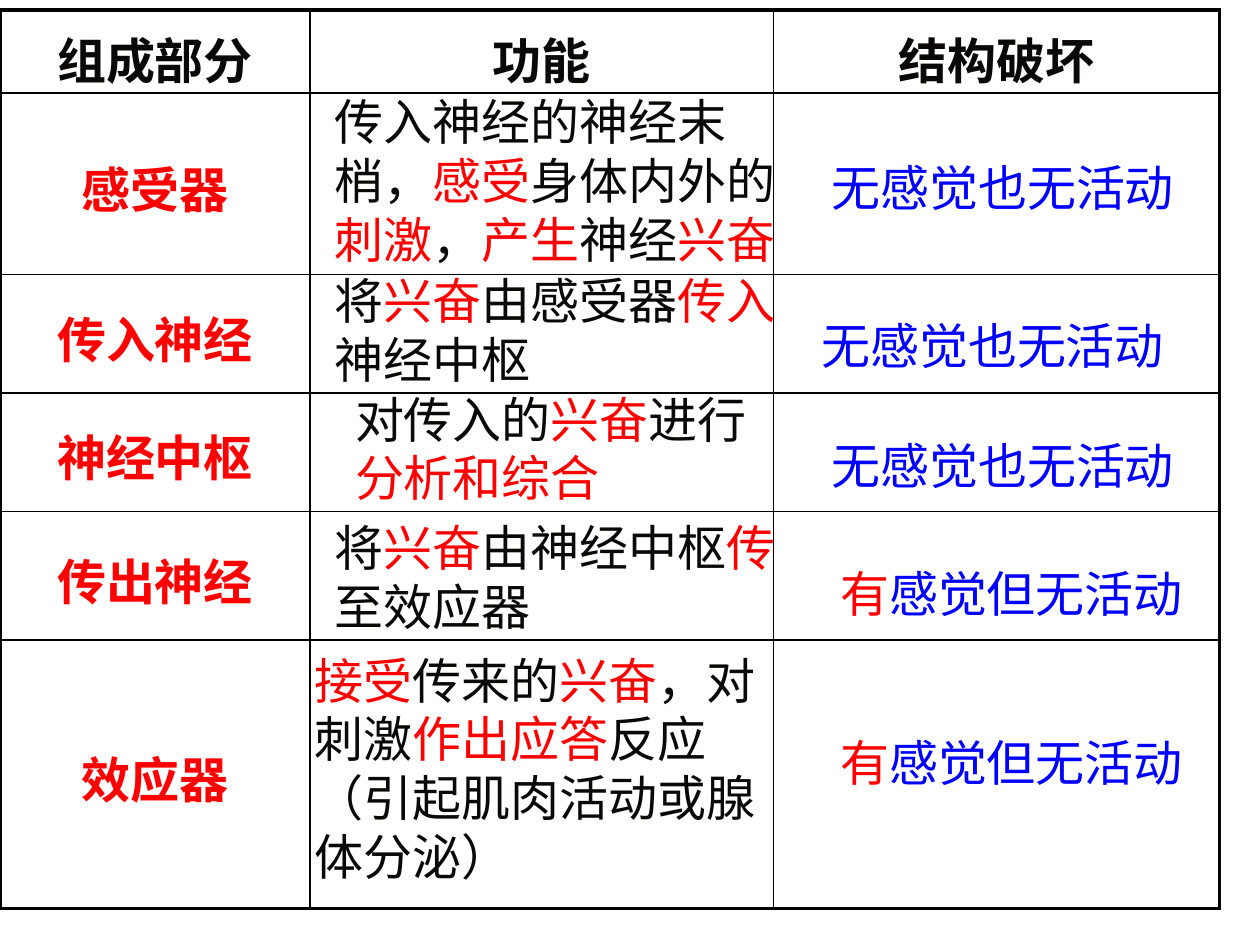
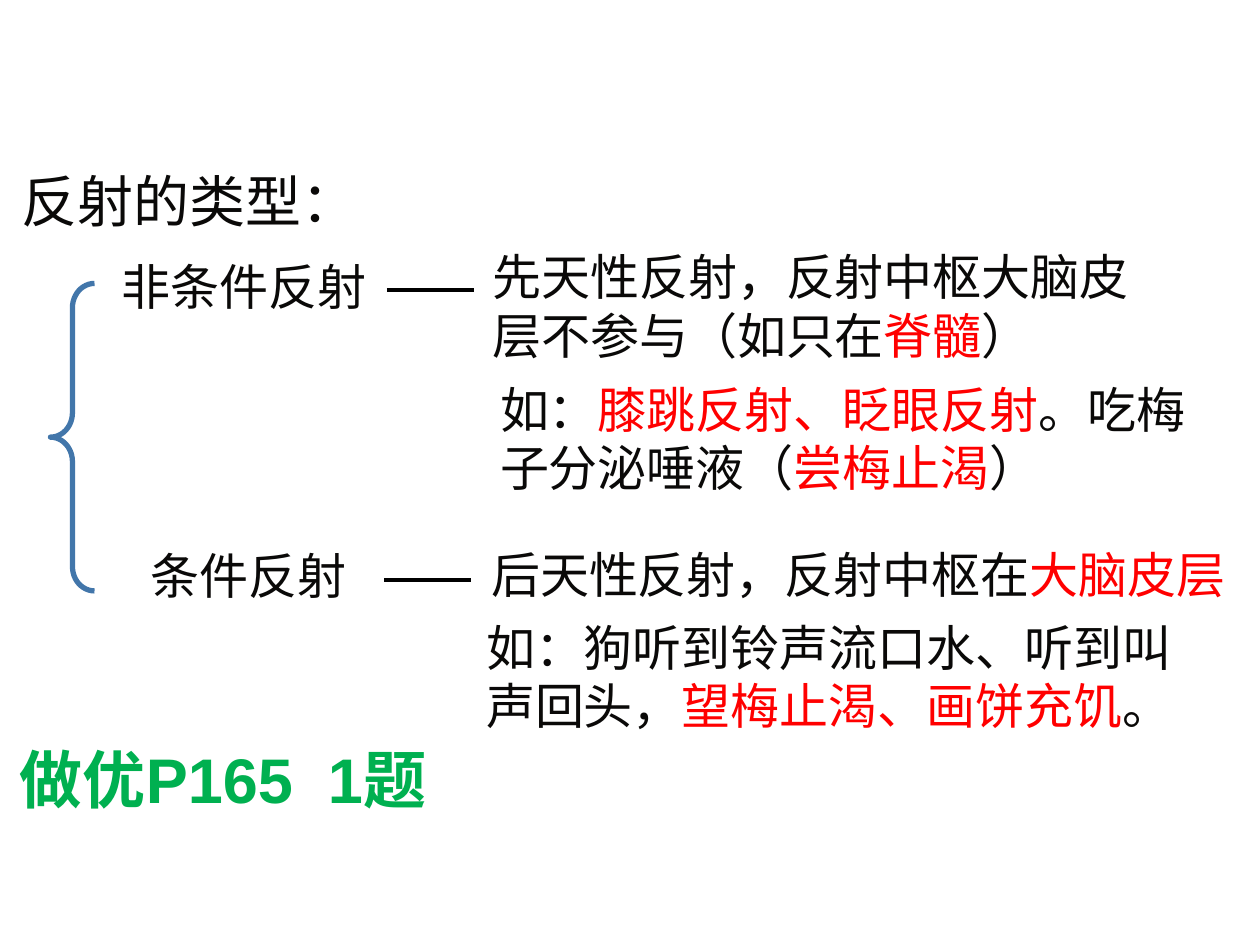
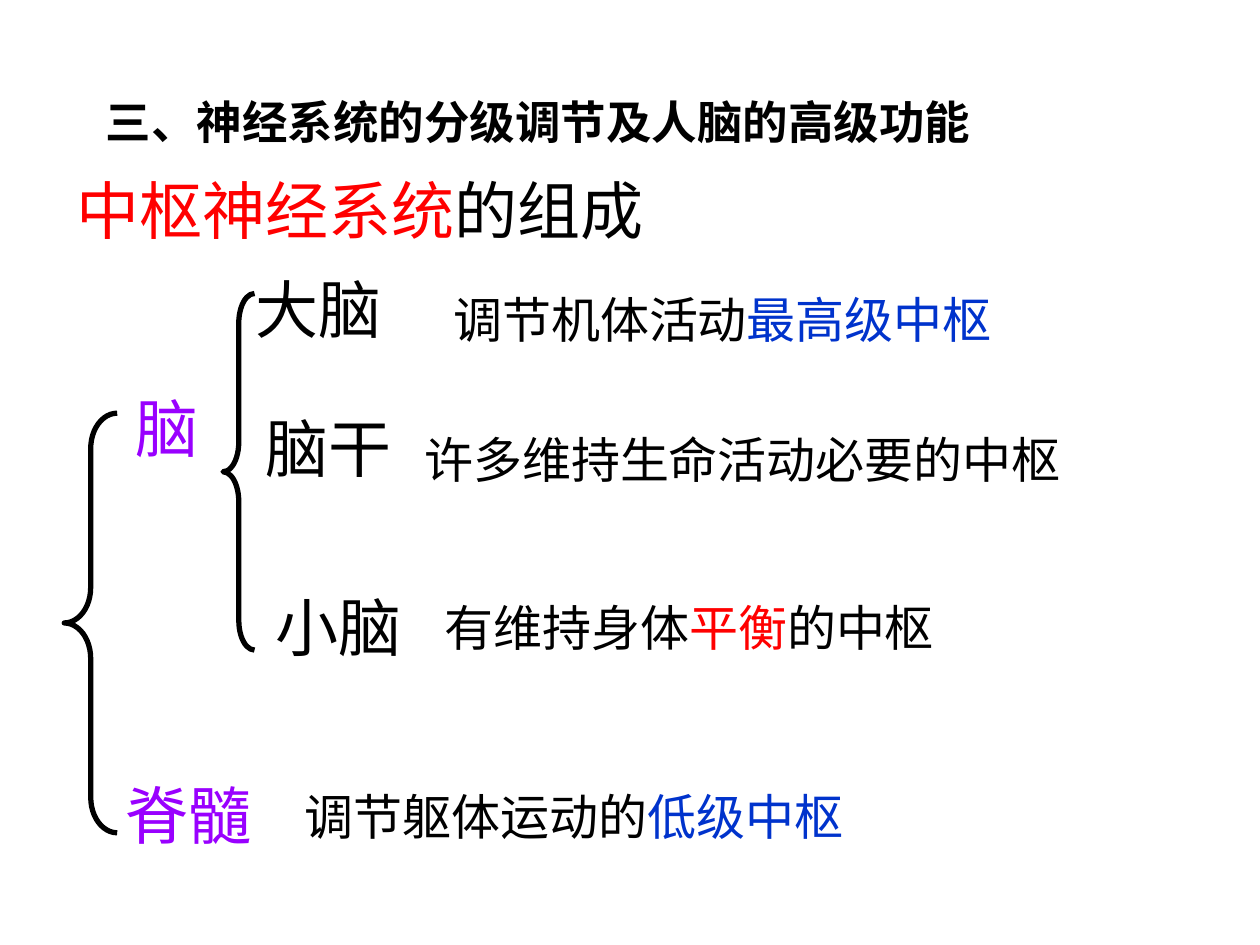
from dataclasses import dataclass

from lxml.etree import SubElement
from pptx import Presentation
from pptx.dml.color import RGBColor
from pptx.enum.shapes import MSO_CONNECTOR as Connector, MSO_SHAPE as Preset
from pptx.enum.text import MSO_ANCHOR as Anchor, MSO_AUTO_SIZE as AutoSize, PP_ALIGN as Align
from pptx.oxml.ns import qn
from pptx.util import Emu, Pt

PX = 9144
LEADING = 1.2
EAST_ASIAN = "Noto Sans CJK SC"
SERIF = "Times New Roman"
SANS = "Arial"
COLOURS = {
    "ink": "0A0908", "black": "000000", "white": "FFFFFF", "red": "FF0000",
    "blue": "0000FF", "royal": "0033CC", "purple": "9900FF", "green": "00B050",
    "steel": "4276AA",
}
THIN, THICK = 1, 2.25


@dataclass(frozen=True)
class Span:
    text: str
    colour: str = "ink"


@dataclass(frozen=True)
class Label:
    left: int
    top: int
    width: int
    height: int
    spans: tuple[Span, ...]
    font: str = EAST_ASIAN
    size: int = 28
    bold: bool = False
    wrap: bool = True
    spacing: float = 1


@dataclass(frozen=True)
class Brace:
    left: int
    top: int
    width: int
    height: int
    curl: float
    colour: str = "black"


@dataclass(frozen=True)
class Dash:
    left: int
    top: int
    width: int = 69


def px(length: int) -> Emu:
    return Emu(length * PX)


def rgb(name: str) -> RGBColor:
    return RGBColor.from_string(COLOURS[name])


def spans(text: str, base: str = "ink", accent: str = "red") -> tuple[Span, ...]:
    pieces = enumerate(text.split("|"))
    return tuple(Span(piece, accent if i % 2 else base) for i, piece in pieces if piece)


def write(para, parts: tuple[Span, ...], font: str, size: int, bold: bool, spacing: float) -> None:
    para.line_spacing = Pt(round(size * LEADING * spacing, 1))
    para._p.get_or_add_pPr().set("hangingPunct", "0")
    for part in parts:
        run = para.add_run()
        run.text = part.text
        run.font.name = font
        run.font.size = Pt(size)
        run.font.bold = bold
        run.font.color.rgb = rgb(part.colour)
        SubElement(run.font._element, qn("a:ea")).set("typeface", EAST_ASIAN)


def draw_label(page, label: Label) -> None:
    box = page.shapes.add_textbox(px(label.left), px(label.top), px(label.width), px(label.height))
    frame = box.text_frame
    frame.word_wrap = label.wrap
    frame.auto_size = AutoSize.NONE if label.spacing > 1 else AutoSize.SHAPE_TO_FIT_TEXT
    write(frame.paragraphs[0], label.spans, label.font, label.size, label.bold, label.spacing)


def draw_brace(page, brace: Brace) -> None:
    shape = page.shapes.add_shape(
        Preset.LEFT_BRACE, px(brace.left), px(brace.top), px(brace.width), px(brace.height))
    shape.shadow.inherit = False
    shape.adjustments[0] = brace.curl
    shape.fill.background()
    shape.line.color.rgb = rgb(brace.colour)
    shape.line.width = Pt(3)


def draw_dash(page, dash: Dash) -> None:
    line = page.shapes.add_connector(
        Connector.STRAIGHT, px(dash.left), px(dash.top), px(dash.left + dash.width), px(dash.top))
    line.line.color.rgb = rgb("black")
    line.line.width = Pt(THICK)
    SubElement(line._element.spPr, qn("a:effectLst"))


def set_borders(cell, widths: dict[str, float]) -> None:
    properties = cell._tc.get_or_add_tcPr()
    for position, (side, width) in enumerate(widths.items()):
        border = properties.makeelement(qn(f"a:{side}"), {"w": str(Pt(width))})
        fill = SubElement(border, qn("a:solidFill"))
        SubElement(fill, qn("a:srgbClr")).set("val", COLOURS["black"])
        properties.insert(position, border)


def draw_table(page, headers: list[str], parts: list[str],
               widths: list[int], heights: list[int]) -> None:
    frame = page.shapes.add_table(
        len(heights), len(widths), px(0), px(8), px(sum(widths)), px(sum(heights)))
    table = frame.table
    for column, width in zip(table.columns, widths):
        column.width = px(width)
    for row, height in zip(table.rows, heights):
        row.height = px(height)
    last_row, last_column = len(heights) - 1, len(widths) - 1
    for r in range(len(heights)):
        for c in range(len(widths)):
            cell = table.cell(r, c)
            cell.fill.solid()
            cell.fill.fore_color.rgb = rgb("white")
            set_borders(cell, {
                "lnL": THIN if c else THICK,
                "lnR": THICK if c == last_column else THIN,
                "lnT": THIN if r else THICK,
                "lnB": THICK if r == last_row else THIN,
            })
            if r and c:
                continue
            text, colour = (parts[r - 1], "red") if r else (headers[c], "ink")
            cell.vertical_anchor = Anchor.MIDDLE if r else Anchor.BOTTOM
            cell.margin_top, cell.margin_bottom = px(10), px(0)
            para = cell.text_frame.paragraphs[0]
            para.alignment = Align.CENTER
            write(para, (Span(text, colour),), SANS, 28, True, 1.1)


def function_label(left: int, top: int, width: int, height: int, text: str) -> Label:
    return Label(left, top, width, height, spans(text), SERIF)


def damage_label(left: int, top: int, text: str) -> Label:
    return Label(left, top, 378, 71, spans(text, "blue"), SANS, spacing=1.1)


def part_label(left: int, top: int, width: int, text: str, colour: str = "black") -> Label:
    return Label(left, top, width, 71, spans(text, colour), SERIF, 36)


def role_label(left: int, top: int, width: int, text: str, accent: str = "royal") -> Label:
    return Label(left, top, width, 57, spans(text, "black", accent), SERIF)


DRAWERS = {Label: draw_label, Brace: draw_brace, Dash: draw_dash}


def draw_all(page, items: list) -> None:
    for item in items:
        DRAWERS[type(item)](page, item)


def build_reflex_arc(page) -> None:
    draw_table(
        page,
        ["组成部分", "功能", "结构破坏"],
        ["感受器", "传入神经", "神经中枢", "传出神经", "效应器"],
        [246, 368, 354],
        [66, 144, 94, 94, 102, 213],
    )
    draw_all(page, [
        function_label(256, 68, 394, 151, "传入神经的神经末梢，|感受|身体内外的|刺激|，|产生|神经|兴奋"),
        function_label(256, 210, 394, 104, "将|兴奋|由感受器|传入|神经中枢"),
        function_label(272, 304, 354, 104, "对传入的|兴奋|进行|分析和综合"),
        function_label(256, 406, 394, 104, "将|兴奋|由神经中枢|传|至效应器"),
        function_label(240, 511, 402, 198, "|接受|传来的|兴奋|，对刺激|作出应答|反应（引起肌肉活动或腺体分泌）"),
        damage_label(650, 115, "无感觉也无活动"),
        damage_label(642, 241, "无感觉也无活动"),
        damage_label(650, 336, "无感觉也无活动"),
        damage_label(657, 438, "|有|感觉但无活动"),
        damage_label(657, 572, "|有|感觉但无活动"),
    ])


def build_reflex_types(page) -> None:
    draw_all(page, [
        Label(7, 127, 961, 64, spans("反射的类型："), size=32),
        Label(110, 428, 176, 57, spans("条件反射"), wrap=False),
        Label(87, 199, 214, 57, spans("非条件反射"), wrap=False),
        Dash(307, 230),
        Brace(40, 225, 35, 244, 0.55, "steel"),
        Label(380, 427, 608, 57, spans("后天性反射，反射中枢在|大脑皮层")),
        Label(381, 191, 555, 105, spans("先天性反射，反射中枢大脑皮层不参与（如只在|脊髓|）")),
        Label(387, 296, 579, 104, spans("如：|膝跳反射、眨眼反射|。吃梅子分泌唾液（|尝梅止渴|）")),
        Label(376, 485, 592, 104, spans("如：狗听到铃声流口水、听到叫声回头，|望梅止渴、画饼充饥|。")),
        Dash(305, 460),
        Label(6, 583, 376, 71, spans("做优P165  1题", "green"), SANS, 36, True),
    ])


def build_central_system(page) -> None:
    draw_all(page, [
        part_label(98, 304, 108, "脑", "purple"),
        part_label(90, 611, 162, "脊髓", "purple"),
        Brace(51, 328, 42, 333, 0.67),
        Label(51, 131, 608, 71, spans("|中枢神经系统|的组成", "black"), SANS, 36),
        Brace(177, 233, 25, 283, 0.94),
        part_label(193, 210, 208, "大脑"),
        part_label(209, 462, 208, "小脑"),
        part_label(201, 320, 208, "脑干"),
        role_label(343, 469, 542, "有维持身体|平衡|的中枢", "red"),
        role_label(350, 225, 600, "调节机体活动|最高级中枢"),
        role_label(327, 336, 617, "许多维持生命活动必要的中枢"),
        role_label(232, 619, 495, "调节躯体运动的|低级中枢"),
        Label(74, 70, 710, 54, spans("三、神经系统的分级调节及人脑的高级功能", "black"),
              SANS, 26, True, wrap=False),
    ])


def main() -> None:
    deck = Presentation()
    deck.slide_width, deck.slide_height = px(1000), px(750)
    for build in (build_reflex_arc, build_reflex_types, build_central_system):
        build(deck.slides.add_slide(deck.slide_layouts[6]))
    deck.save("out.pptx")


if __name__ == "__main__":
    main()
